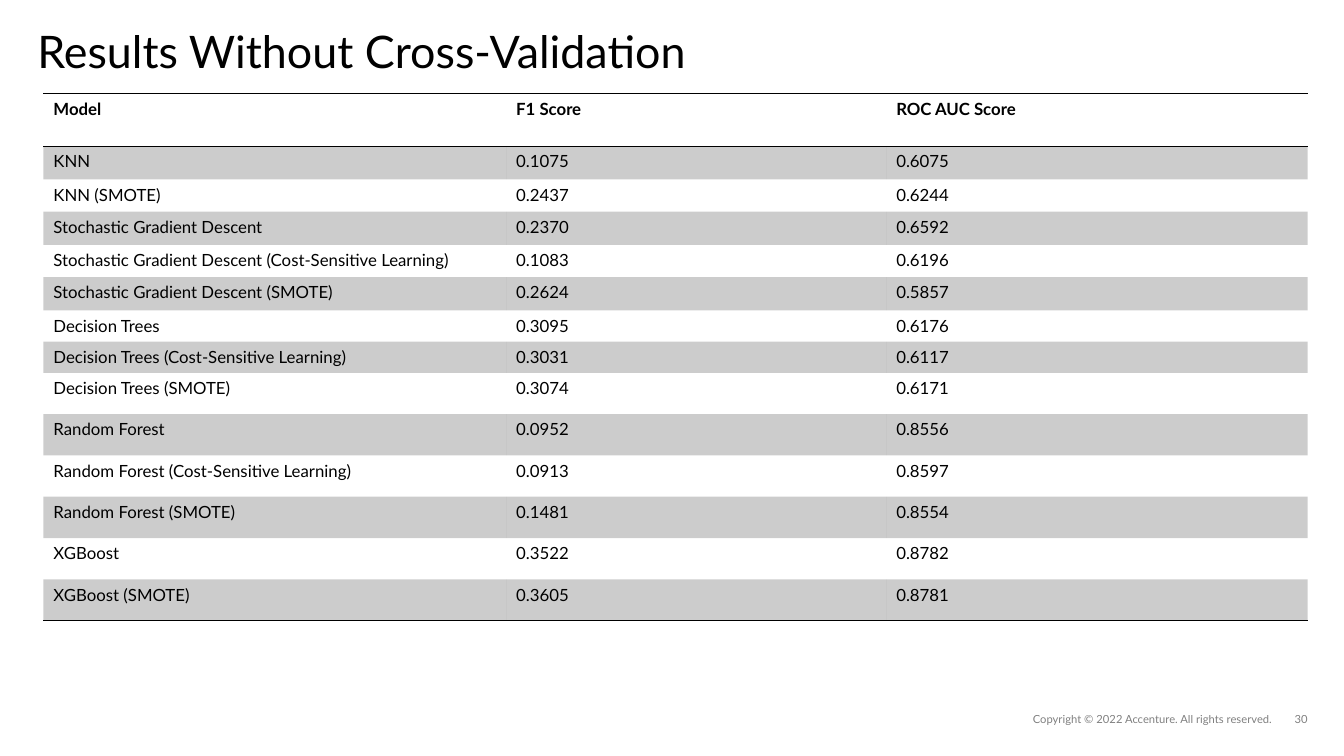
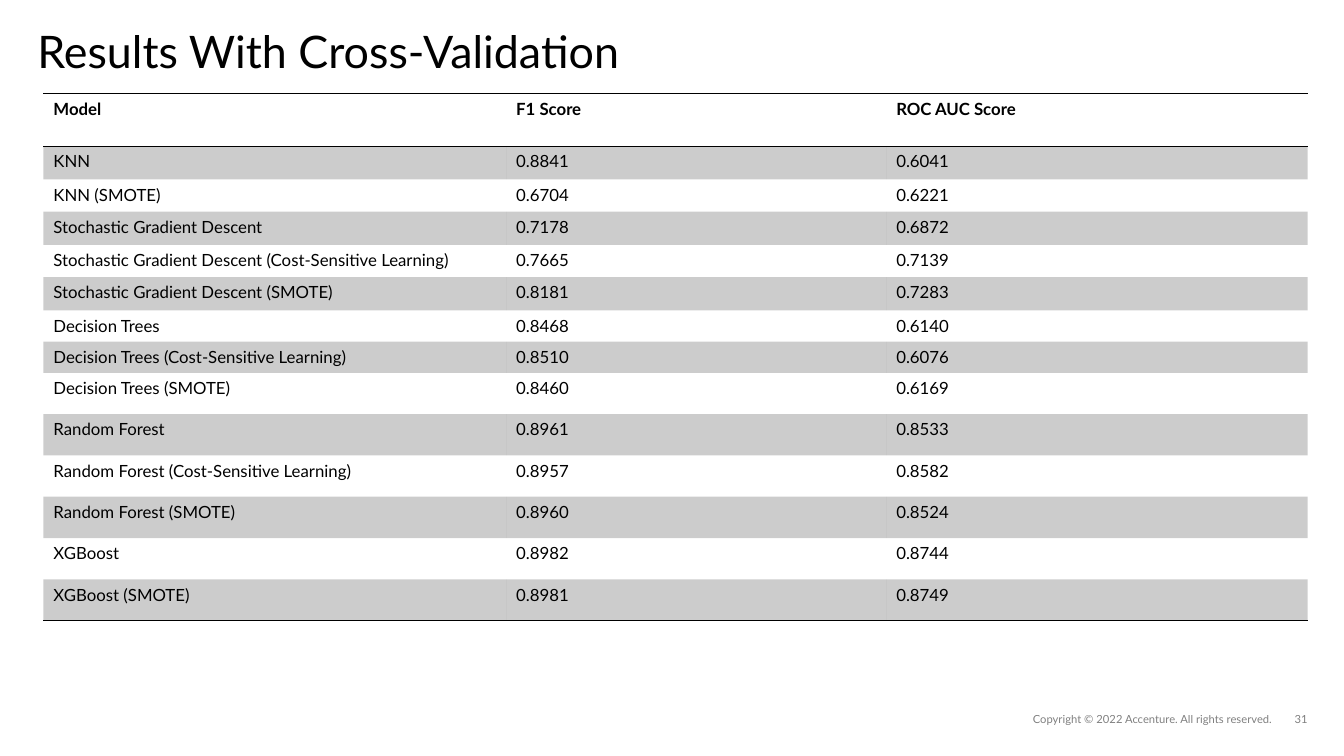
from dataclasses import dataclass

from lxml.etree import SubElement
from pptx import Presentation
from pptx.dml.color import RGBColor
from pptx.dml.fill import FillFormat
from pptx.enum.text import MSO_ANCHOR as Anchor, PP_ALIGN as Align
from pptx.oxml.ns import qn
from pptx.slide import Slide
from pptx.table import _Cell as Cell
from pptx.util import Inches, Pt


@dataclass(frozen=True)
class Theme:
    font: str = "Lato"
    ink: RGBColor = RGBColor(0, 0, 0)
    band_opacity: int = 20
    footer_opacity: int = 50
    title_size: int = 32
    table_size: int = 12
    footer_size: int = 8
    rule_width: int = 1
    plain_table_style: str = "{2D5ABB26-0587-4C30-8999-92F81FD0307C}"


@dataclass(frozen=True)
class TextStyle:
    size: int
    bold: bool = False
    opacity: int = 100
    align: Align = Align.LEFT
    anchor: Anchor = Anchor.TOP
    line_spacing: float = 1.0


@dataclass(frozen=True)
class Area:
    left: float
    top: float
    width: float
    height: float


@dataclass(frozen=True)
class ResultsPage:
    title: str
    number: int
    scores: list[tuple[str, str]]


THEME = Theme()
TITLE = TextStyle(THEME.title_size, line_spacing=0.8)
FOOTER = TextStyle(THEME.footer_size, opacity=THEME.footer_opacity,
                   align=Align.RIGHT, anchor=Anchor.BOTTOM)
HEADING = TextStyle(THEME.table_size, bold=True)
BODY = TextStyle(THEME.table_size)

TITLE_AREA = Area(0.37, 0.34, 10.97, 0.85)
COPYRIGHT_AREA = Area(8.12, 7.02, 4.5, 0.18)
NUMBER_AREA = Area(12.71, 7.02, 0.26, 0.18)
TABLE_AREA = Area(0.43, 0.93, 12.54, 5.21)

COPYRIGHT = "Copyright © 2022 Accenture. All rights reserved."
HEADINGS = ("Model", "F1 Score", "ROC AUC Score")
COLUMN_WIDTHS = (4.59, 3.77, 4.18)
ROW_HEIGHTS = (0.52, 0.33, 0.32, 0.33, 0.32, 0.33, 0.31, 0.31) + (0.41,) * 6
MODELS = (
    "KNN",
    "KNN (SMOTE)",
    "Stochastic Gradient Descent",
    "Stochastic Gradient Descent (Cost-Sensitive Learning)",
    "Stochastic Gradient Descent (SMOTE)",
    "Decision Trees",
    "Decision Trees (Cost-Sensitive Learning)",
    "Decision Trees (SMOTE)",
    "Random Forest",
    "Random Forest (Cost-Sensitive Learning)",
    "Random Forest (SMOTE)",
    "XGBoost",
    "XGBoost (SMOTE)",
)

PAGES = (
    ResultsPage("Results Without Cross-Validation", 30, [
        ("0.1075", "0.6075"), ("0.2437", "0.6244"), ("0.2370", "0.6592"),
        ("0.1083", "0.6196"), ("0.2624", "0.5857"), ("0.3095", "0.6176"),
        ("0.3031", "0.6117"), ("0.3074", "0.6171"), ("0.0952", "0.8556"),
        ("0.0913", "0.8597"), ("0.1481", "0.8554"), ("0.3522", "0.8782"),
        ("0.3605", "0.8781"),
    ]),
    ResultsPage("Results With Cross-Validation", 31, [
        ("0.8841", "0.6041"), ("0.6704", "0.6221"), ("0.7178", "0.6872"),
        ("0.7665", "0.7139"), ("0.8181", "0.7283"), ("0.8468", "0.6140"),
        ("0.8510", "0.6076"), ("0.8460", "0.6169"), ("0.8961", "0.8533"),
        ("0.8957", "0.8582"), ("0.8960", "0.8524"), ("0.8982", "0.8744"),
        ("0.8981", "0.8749"),
    ]),
)


# Text and colour
def paint(fill: FillFormat, holder, opacity: int) -> None:
    """Fill with ink; holder is the XML element that owns the fill."""
    fill.solid()
    fill.fore_color.rgb = THEME.ink
    if opacity < 100:
        color = holder.find(qn("a:solidFill")).find(qn("a:srgbClr"))
        SubElement(color, qn("a:alpha"), val=str(opacity * 1000))


def write(frame, text: str, style: TextStyle) -> None:
    para = frame.paragraphs[0]
    para.alignment = style.align
    para.line_spacing = style.line_spacing
    span = para.add_run()
    span.text = text
    span.font.name = THEME.font
    span.font.size = Pt(style.size)
    span.font.bold = style.bold
    paint(span.font.fill, span.font._element, style.opacity)


def add_text(page: Slide, area: Area, text: str, style: TextStyle) -> None:
    box = page.shapes.add_textbox(Inches(area.left), Inches(area.top),
                                  Inches(area.width), Inches(area.height))
    frame = box.text_frame
    frame.word_wrap = True
    frame.vertical_anchor = style.anchor
    frame.margin_left = frame.margin_right = Inches(0)
    frame.margin_top = frame.margin_bottom = Inches(0)
    write(frame, text, style)


# Results table
def add_rule(cell: Cell, side: str) -> None:
    line = SubElement(cell._tc.get_or_add_tcPr(), qn(f"a:{side}"),
                      w=str(Pt(THEME.rule_width)))
    fill = SubElement(line, qn("a:solidFill"))
    SubElement(fill, qn("a:srgbClr"), val=str(THEME.ink))


def add_results(page: Slide, scores: list[tuple[str, str]]) -> None:
    rows = [HEADINGS] + [(model, *pair) for model, pair in zip(MODELS, scores)]
    area = TABLE_AREA
    table = page.shapes.add_table(
        len(rows), len(HEADINGS), Inches(area.left), Inches(area.top),
        Inches(area.width), Inches(area.height)).table
    table.first_row = table.horz_banding = False
    style_id = table._tbl.tblPr.find(qn("a:tableStyleId"))
    style_id.text = THEME.plain_table_style
    for column, width in zip(table.columns, COLUMN_WIDTHS):
        column.width = Inches(width)
    for row, height in zip(table.rows, ROW_HEIGHTS):
        row.height = Inches(height)

    for row_index, values in enumerate(rows):
        is_heading = row_index == 0
        for column_index, value in enumerate(values):
            cell = table.cell(row_index, column_index)
            write(cell.text_frame, value, HEADING if is_heading else BODY)
            if is_heading:
                add_rule(cell, "lnT")
            if is_heading or row_index == len(rows) - 1:
                add_rule(cell, "lnB")
            if row_index % 2:
                paint(cell.fill, cell._tc.tcPr, THEME.band_opacity)
            else:
                cell.fill.background()


# Deck
def main() -> None:
    deck = Presentation()
    deck.slide_width, deck.slide_height = Inches(13.33), Inches(7.5)
    blank = deck.slide_layouts[6]
    for results in PAGES:
        page = deck.slides.add_slide(blank)
        add_text(page, TITLE_AREA, results.title, TITLE)
        add_text(page, COPYRIGHT_AREA, COPYRIGHT, FOOTER)
        add_text(page, NUMBER_AREA, str(results.number), FOOTER)
        add_results(page, results.scores)
    deck.save("out.pptx")


if __name__ == "__main__":
    main()
